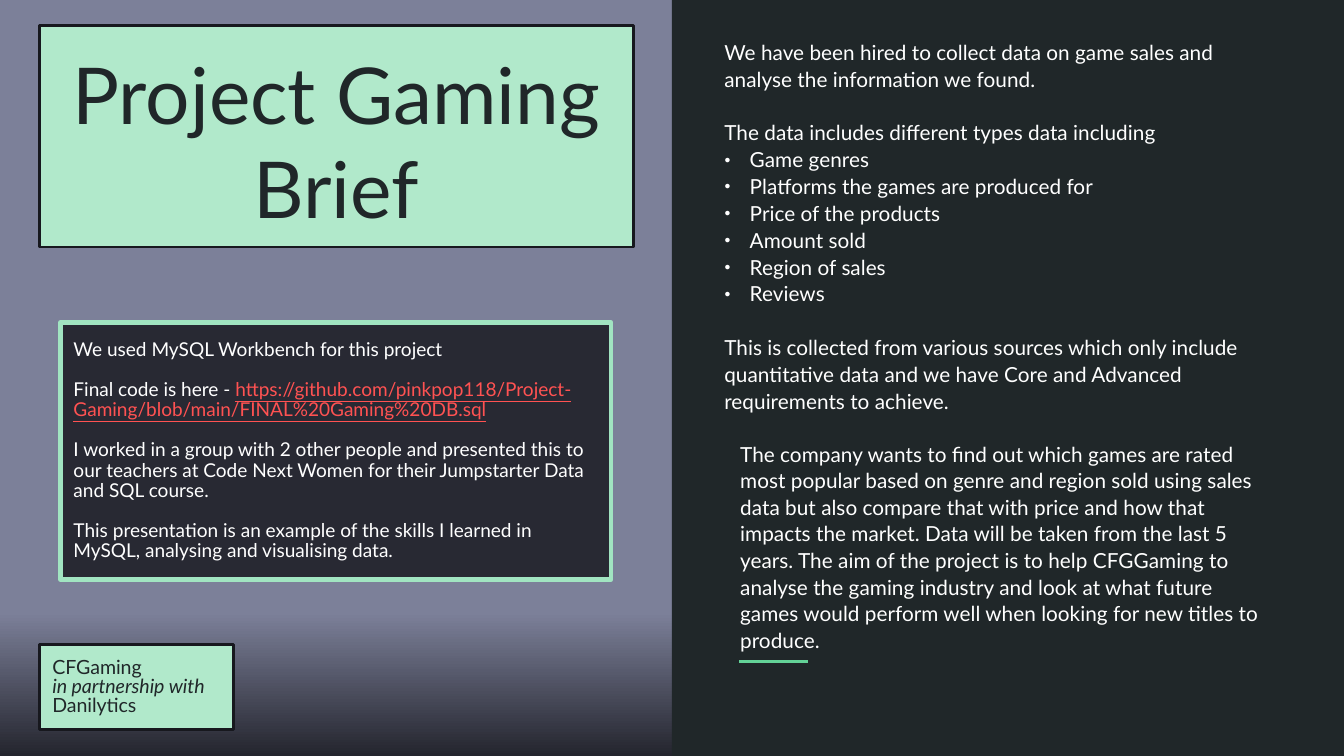
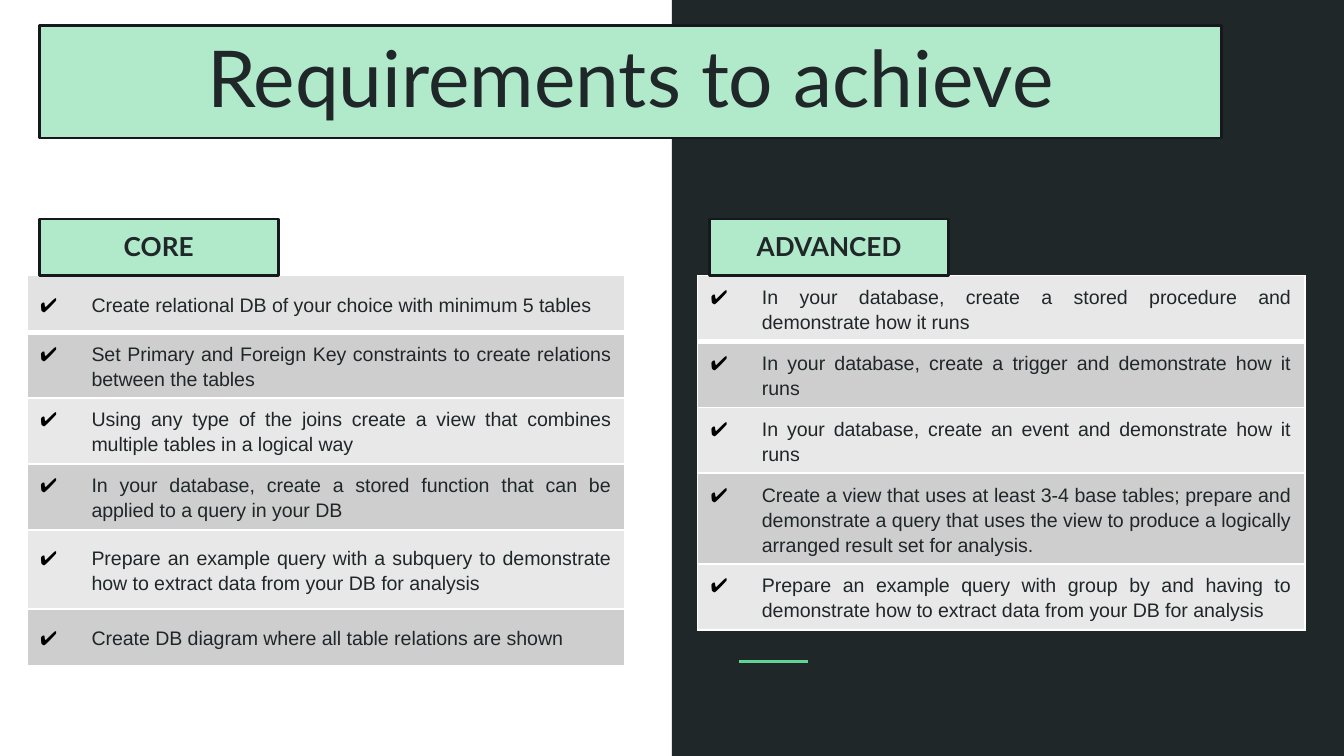
from lxml.etree import SubElement
from pptx import Presentation
from pptx.dml.color import RGBColor
from pptx.enum.shapes import MSO_CONNECTOR as Connector, MSO_SHAPE as Shape
from pptx.enum.text import MSO_ANCHOR as Anchor, PP_ALIGN as Align
from pptx.oxml.ns import qn
from pptx.util import Cm, Pt

WIDTH, HEIGHT = 25.4, 14.29
INK = RGBColor(0x20, 0x27, 0x29)
MINT = RGBColor(0xB1, 0xE9, 0xCB)
MINT_EDGE = RGBColor(0xA1, 0xE4, 0xC1)
GREEN = RGBColor(0x63, 0xD2, 0x97)
OUTLINE = RGBColor(0x17, 0x18, 0x1E)
NIGHT = RGBColor(0x28, 0x29, 0x33)
DUSK = RGBColor(0x24, 0x25, 0x2E)
LAVENDER = RGBColor(0x7C, 0x80, 0x99)
LINK = RGBColor(0xFF, 0x52, 0x52)
WHITE = RGBColor(0xFF, 0xFF, 0xFF)
BLACK = RGBColor(0, 0, 0)
ROW_FIRST = RGBColor(0xD6, 0xD6, 0xD6)
ROW_LIGHT = RGBColor(0xE8, 0xE8, 0xE9)
ROW_DARK = RGBColor(0xCE, 0xCE, 0xCF)

GENRES_AND_MORE = [
    "Game genres",
    "Platforms the games are produced for",
    "Price of the products",
    "Amount sold",
    "Region of sales",
    "Reviews",
]
CORE = [
    ("Create relational DB of your choice with minimum 5 tables", 1.07),
    ("Set Primary and Foreign Key constraints to create relations between the tables", 1.07),
    ("Using any type of the joins create a view that combines multiple tables in a logical way", 1.07),
    ("In your database, create a stored function that can be applied to a query in your DB", 1.07),
    ("Prepare an example query with a subquery to demonstrate how to extract data from your DB for analysis", 1.5),
    ("Create DB diagram where all table relations are shown", 1.07),
]
ADVANCED = [
    ("In your database, create a stored procedure and demonstrate how it runs", 1.14),
    ("In your database, create a trigger and demonstrate how it runs", 1.14),
    ("In your database, create an event and demonstrate how it runs", 1.14),
    ("Create a view that uses at least 3-4 base tables; prepare and demonstrate a query that uses "
     "the view to produce a logically arranged result set for analysis.", 1.6),
    ("Prepare an example query with group by and having to demonstrate how to extract data from "
     "your DB for analysis", 1.14),
]


def add_bullet(properties, symbol, color, percent):
    tint = SubElement(properties, qn("a:buClr"))
    SubElement(tint, qn("a:srgbClr"), val=str(color))
    SubElement(properties, qn("a:buSzPct"), val=str(percent * 1000))
    SubElement(properties, qn("a:buFont"), typeface="Arial")
    SubElement(properties, qn("a:buChar"), char=symbol)


def write(frame, text, size=11.1, color=INK, font="Lato", bold=False, italic=False, align=Align.LEFT,
          spacing=1.0, before=0, after=0, indent=0, hanging=0, bullet=None, link=""):
    first = frame.paragraphs[0]
    paragraph = frame.add_paragraph() if first.runs else first
    paragraph.alignment = align
    paragraph.line_spacing = spacing
    paragraph.space_before, paragraph.space_after = Pt(before), Pt(after)
    properties = paragraph._p.get_or_add_pPr()
    properties.set("marL", str(Cm(indent)))
    properties.set("indent", str(Cm(-hanging)))
    if bullet:
        add_bullet(properties, *bullet)
    for part, tint in ((text, color), (link, LINK)):
        if part:
            run = paragraph.add_run()
            run.text = part
            run.font.size, run.font.name = Pt(size), font
            run.font.bold, run.font.italic = bold, italic
            run.font.underline = part == link
            run.font.color.rgb = tint


def set_frame(frame, anchor):
    frame.word_wrap = True
    frame.vertical_anchor = anchor
    frame.margin_left = frame.margin_right = frame.margin_top = frame.margin_bottom = Cm(0.25)
    return frame


def add_panel(slide, box, fill=MINT, line=OUTLINE, weight=1.5, anchor=Anchor.BOTTOM):
    panel = slide.shapes.add_shape(Shape.RECTANGLE, *map(Cm, box))
    panel.shadow.inherit = False
    panel.fill.solid()
    panel.fill.fore_color.rgb = fill
    if line is None:
        panel.line.fill.background()
    else:
        panel.line.color.rgb = line
        panel.line.width = Pt(weight)
    return set_frame(panel.text_frame, anchor)


def add_split_slide(deck):
    slide = deck.slides.add_slide(deck.slide_layouts[6])
    half = WIDTH / 2
    add_panel(slide, (half, 0, half, HEIGHT), fill=INK, line=None)
    accent = slide.shapes.add_connector(Connector.STRAIGHT, Cm(13.97), Cm(12.5), Cm(15.27), Cm(12.5))
    accent.line.color.rgb = GREEN
    accent.line.width = Pt(1.5)
    SubElement(accent._element.spPr, qn("a:effectLst"))
    return slide


def add_heading(slide, box, text, size=42, **style):
    write(add_panel(slide, box), text, size=size, align=Align.CENTER, **style)


def add_brief(slide, box):
    brief = set_frame(slide.shapes.add_textbox(*map(Cm, box)).text_frame, Anchor.MIDDLE)
    style = dict(color=WHITE, spacing=1.08)
    gap = 14.3
    write(brief, "We have been hired to collect data on game sales and analyse the information we found.", **style)
    write(brief, "The data includes different types data including", before=gap, **style)
    for kind in GENRES_AND_MORE:
        write(brief, kind, indent=0.48, hanging=0.48, bullet=("●", WHITE, 50), **style)
    write(brief, "This is collected from various sources which only include quantitative data and we have "
          "Core and Advanced requirements to achieve.", before=gap, **style)
    write(brief, "The company wants to find out which games are rated most popular based on genre and region "
          "sold using sales data but also compare that with price and how that impacts the market. Data will "
          "be taken from the last 5 years. The aim of the project is to help CFGGaming to analyse the gaming "
          "industry and look at what future games would perform well when looking for new titles to produce.",
          color=WHITE, spacing=1.07, before=gap, after=8, indent=0.3)


def add_project_notes(slide, box):
    notes = add_panel(slide, box, NIGHT, MINT_EDGE, 2.5, Anchor.MIDDLE)
    style = dict(size=10.2, color=WHITE, spacing=0.88)
    gap = 10.7
    write(notes, "We used MySQL Workbench for this project", **style)
    write(notes, "Final code is here - ", before=gap,
          link="https://github.com/pinkpop118/Project-Gaming/blob/main/FINAL%20Gaming%20DB.sql", **style)
    write(notes, "I worked in a group with 2 other people and presented this to our teachers at Code Next Women "
          "for their Jumpstarter Data and SQL course.", before=gap, **style)
    write(notes, "This presentation is an example of the skills I learned in MySQL, analysing and "
          "visualising data.", before=gap, **style)


def add_partners(slide, box):
    partners = add_panel(slide, box)
    for name, italic in (("CFGaming", False), ("in partnership with", True), ("Danilytics", False)):
        write(partners, name, size=10.5, spacing=0.8, italic=italic)


def set_borders(cell, top, bottom):
    properties = cell._tc.get_or_add_tcPr()
    for side, weight in (("L", 1), ("R", 1), ("T", top), ("B", bottom)):
        edge = SubElement(properties, qn(f"a:ln{side}"), w=str(Pt(weight)))
        fill = SubElement(edge, qn("a:solidFill"))
        SubElement(fill, qn("a:srgbClr"), val=str(WHITE))


def add_requirements(slide, left, top, width, requirements):
    height = sum(row_height for _, row_height in requirements)
    table = slide.shapes.add_table(len(requirements), 1, Cm(left), Cm(top), Cm(width), Cm(height)).table
    table.first_row = table.horz_banding = False
    for index, (requirement, row_height) in enumerate(requirements):
        table.rows[index].height = Cm(row_height)
        cell = table.cell(index, 0)
        set_borders(cell, 3 if index == 1 else 1, 3 if index == 0 else 1)
        cell.fill.solid()
        cell.fill.fore_color.rgb = ROW_DARK if index % 2 else ROW_LIGHT
        cell.vertical_anchor = Anchor.MIDDLE
        cell.margin_left = cell.margin_right = Cm(0.25)
        cell.margin_top = cell.margin_bottom = Cm(0.15)
        write(cell.text_frame, requirement, size=10.5, font="Arial", align=Align.JUSTIFY, spacing=1.15,
              indent=0.97, hanging=0.97, bullet=("✔", BLACK, 100))
    return table


def build_brief_slide(deck):
    slide = add_split_slide(deck)
    backdrop = slide.background.fill
    backdrop.gradient()
    backdrop.gradient_angle = 90
    for stop, color, position in zip(backdrop.gradient_stops, (DUSK, LAVENDER), (0, 0.19)):
        stop.color.rgb = color
        stop.position = position
    add_heading(slide, (0.74, 0.48, 11.23, 4.19), "Project Gaming Brief")
    add_brief(slide, (13.44, 0.43, 10.67, 12.19))
    add_project_notes(slide, (1.14, 6.1, 10.41, 4.85))
    add_partners(slide, (0.74, 12.19, 3.68, 1.6))


def build_requirements_slide(deck):
    slide = add_split_slide(deck)
    core = add_requirements(slide, 0.51, 5.21, 11.3, CORE)
    first_fill = core.cell(0, 0).fill
    first_fill.fore_color.rgb = ROW_FIRST
    tint = core.cell(0, 0)._tc.tcPr.find(f"{qn('a:solidFill')}/{qn('a:srgbClr')}")
    SubElement(tint, qn("a:alpha"), val="70000")
    add_requirements(slide, 13.18, 5.21, 11.48, ADVANCED)
    add_heading(slide, (0.74, 0.48, 22.35, 2.13), "Requirements to achieve", spacing=0.9)
    for left, label in ((0.74, "CORE"), (13.41, "ADVANCED")):
        add_heading(slide, (left, 4.14, 4.52, 1.07), label, size=14, bold=True, spacing=0.9)


def main():
    deck = Presentation()
    deck.slide_width, deck.slide_height = Cm(WIDTH), Cm(HEIGHT)
    build_brief_slide(deck)
    build_requirements_slide(deck)
    deck.save("out.pptx")


if __name__ == "__main__":
    main()
